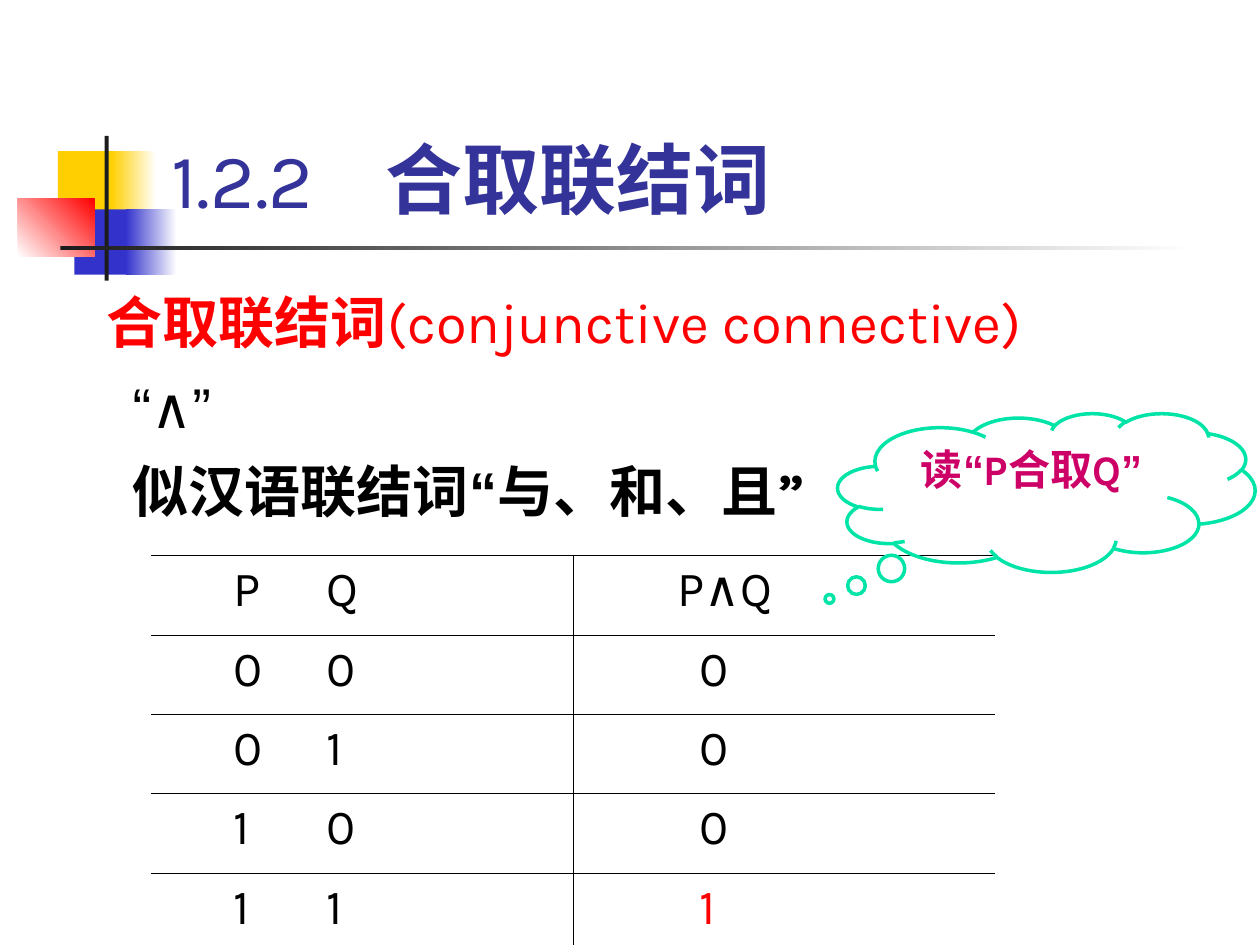
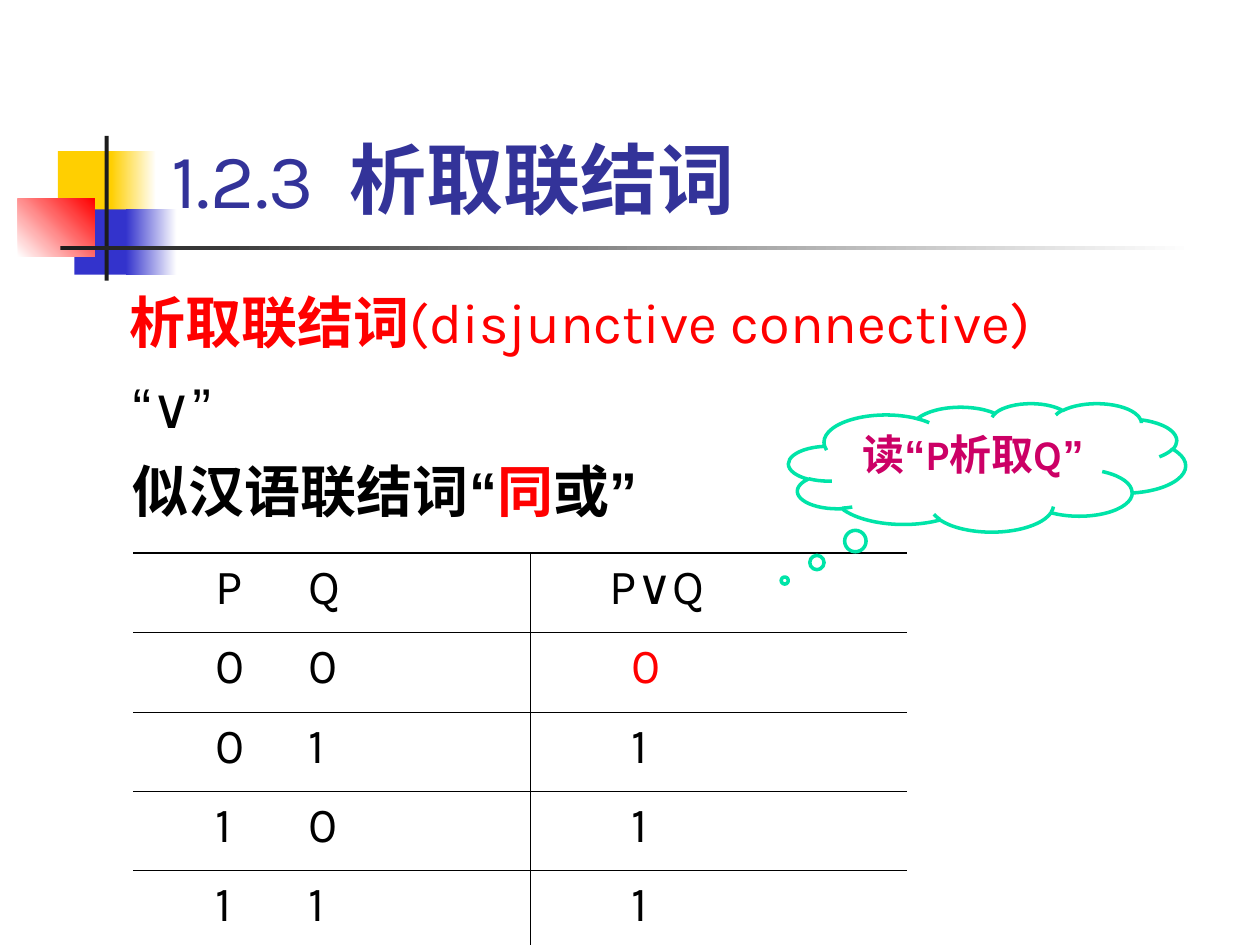
"""Build two slides on the conjunction and disjunction connectives."""
import lxml.etree
import pptx
import pptx.dml.color
import pptx.enum.shapes
import pptx.enum.text
import pptx.oxml.ns
import pptx.util

Cm = pptx.util.Cm
Pt = pptx.util.Pt
qn = pptx.oxml.ns.qn

FONT = "Karla"
QUOTE_FONT = "Arial"
NAVY = "333399"
BLUE = "3333CC"
YELLOW = "FFCF01"
RED = "FF0000"
WHITE = "FFFFFF"
BLACK = "000000"
DARK = "1C1C1C"
GREEN = "00E4A8"
MAGENTA = "CC0066"

DECORATION = [
    ((1.17, 3.05, 1.22, 1.32), [YELLOW], 0),
    ((2.24, 3.05, 0.91, 1.32), [YELLOW, WHITE], 0),
    ((1.5, 4.22, 1.17, 1.32), [BLUE], 0),
    ((2.54, 4.22, 1.02, 1.32), [BLUE, WHITE], 0),
    ((0.36, 4.01, 1.55, 1.17), [WHITE, RED], 45),
    ((2.11, 2.74, 0.08, 2.92), [DARK], 0),
    ((1.22, 4.95, 22.86, 0.09), [DARK, WHITE], 0),
]
INPUTS = [("P", "Q"), ("0", "0"), ("0", "1"), ("1", "0"), ("1", "1")]


def rgb(value):
    """Turn a hex string into a colour."""
    return pptx.dml.color.RGBColor.from_string(value)


def add_run(p, text, size=32, color=BLACK, bold=False, font=FONT):
    """Add a formatted run to a paragraph."""
    r = p.add_run()
    r.text = text
    r.font.size = Pt(size)
    r.font.bold = bold
    r.font.name = font
    r.font.color.rgb = rgb(color)
    ea = lxml.etree.Element(qn("a:ea"), typeface=font)
    r.font._element.find(qn("a:latin")).addnext(ea)


def add_tab(p, position):
    """Give a paragraph one left tab stop."""
    tabs = lxml.etree.SubElement(p._p.get_or_add_pPr(), qn("a:tabLst"))
    lxml.etree.SubElement(tabs, qn("a:tab"), pos=str(Cm(position)), algn="l")


def place(shape, left, top, width, height):
    """Set the position and size of a shape in centimetres."""
    shape.left, shape.top = Cm(left), Cm(top)
    shape.width, shape.height = Cm(width), Cm(height)


def add_decoration(s):
    """Put the coloured blocks and bars on the layout of a slide."""
    for i, (box, colors, angle) in enumerate(DECORATION):
        sp = s.shapes.add_shape(pptx.enum.shapes.MSO_SHAPE.RECTANGLE, *map(Cm, box))
        sp.shadow.inherit = False
        sp.line.fill.background()
        if len(colors) == 1:
            sp.fill.solid()
            sp.fill.fore_color.rgb = rgb(colors[0])
        else:
            sp.fill.gradient()
            sp.fill.gradient_angle = angle
            for stop, color in zip(sp.fill.gradient_stops, colors):
                stop.color.rgb = rgb(color)
        s.slide_layout.shapes.element.insert(2 + i, sp._element)


def add_title(s, number, name, tab):
    """Fill the title with a section number and its name."""
    title = s.shapes.title
    place(title, 3.2, 0.58, 21.64, 4.06)
    tf = title.text_frame
    tf.auto_size = pptx.enum.text.MSO_AUTO_SIZE.NONE
    tf.vertical_anchor = pptx.enum.text.MSO_ANCHOR.BOTTOM
    p = tf.paragraphs[0]
    p.alignment = pptx.enum.text.PP_ALIGN.LEFT
    add_tab(p, tab)
    add_run(p, number + "\t", size=44, color=NAVY)
    add_run(p, name, size=44, color=NAVY, bold=True)


def add_body(s, name, english, symbol, meaning, indent):
    """Fill the body with the term, its symbol and its everyday meaning."""
    body = s.placeholders[1]
    place(body, 1.7, 5.61, 23.2, 13.44)
    tf = body.text_frame
    tf.auto_size = pptx.enum.text.MSO_AUTO_SIZE.NONE
    quote = {"font": QUOTE_FONT}
    lines = [
        (indent, [(name, {"color": RED, "bold": True}), (english, {"color": RED})]),
        (0.72, [("“", quote), (symbol, {}), ("”", quote)]),
        (0.72, [("似汉语联结词", {"bold": True}),
                ("“", {"bold": True, "font": QUOTE_FONT})] + meaning),
    ]
    for i, (left, runs) in enumerate(lines):
        p = tf.add_paragraph() if i else tf.paragraphs[0]
        p.line_spacing = 1.05
        p.space_before = Pt(8)
        pPr = p._p.get_or_add_pPr()
        pPr.set("marL", str(Cm(left)))
        pPr.set("indent", "0")
        lxml.etree.SubElement(pPr, qn("a:buNone"))
        for text, style in runs:
            add_run(p, text, **style)


def set_borders(cell, **widths):
    """Draw the given cell sides in black and hide the others."""
    tcPr = cell._tc.get_or_add_tcPr()
    for i, side in enumerate("LRTB"):
        width = widths.get(side, 0)
        ln = lxml.etree.Element(qn("a:ln" + side), w=str(Pt(width)))
        if width:
            fill = lxml.etree.SubElement(ln, qn("a:solidFill"))
            lxml.etree.SubElement(fill, qn("a:srgbClr"), val=BLACK)
        else:
            lxml.etree.SubElement(ln, qn("a:noFill"))
        tcPr.insert(i, ln)


def add_truth_table(s, left, top, columns, formula, results, margin, special):
    """Add a truth table whose special result is red."""
    rows = len(INPUTS)
    frame = s.shapes.add_table(rows, 2, Cm(left), Cm(top), Cm(sum(columns)), Cm(1.6 * rows))
    table = frame.table
    table.first_row = table.horz_banding = False
    for column, width in zip(table.columns, columns):
        column.width = Cm(width)
    for i, (inputs, result) in enumerate(zip(INPUTS, [formula] + results)):
        lines = {"T": 0.45 if i else 1.08, "B": 0.45 if i < rows - 1 else 1.08}
        margins = (1.65, margin + 0.45 if i else margin)
        for j, text in enumerate(("\t".join(inputs), result)):
            cell = table.cell(i, j)
            cell.margin_left = Cm(margins[j])
            cell.fill.background()
            set_borders(cell, **lines, **{"L" if j else "R": 0.45})
            p = cell.text_frame.paragraphs[0]
            p.space_before = Pt(7)
            if j == 0:
                add_tab(p, 1.88)
            add_run(p, text, size=28, color=RED if j and text == special else BLACK)


def add_cloud(s, box, tail, reading):
    """Add a thought cloud that tells how to read the formula."""
    sp = s.shapes.add_shape(pptx.enum.shapes.MSO_SHAPE.CLOUD_CALLOUT, *map(Cm, box))
    sp.adjustments[0], sp.adjustments[1] = tail
    sp.shadow.inherit = False
    sp.fill.background()
    sp.line.color.rgb = rgb(GREEN)
    sp.line.width = Pt(2)
    tf = sp.text_frame
    tf.word_wrap = True
    tf.vertical_anchor = pptx.enum.text.MSO_ANCHOR.TOP
    p = tf.paragraphs[0]
    p.alignment = pptx.enum.text.PP_ALIGN.CENTER
    for text, font in (("读", FONT), ("“", QUOTE_FONT), (reading, FONT), ("”", QUOTE_FONT)):
        add_run(p, text, size=24, color=MAGENTA, bold=True, font=font)


def main():
    """Build and save the presentation."""
    prs = pptx.Presentation()
    prs.slide_width, prs.slide_height = Cm(25.4), Cm(19.05)
    layout = prs.slide_layouts[1]

    s = prs.slides.add_slide(layout)
    add_decoration(s)
    add_title(s, "1.2.2", "合取联结词", 4.32)
    add_body(s, "合取联结词", "(conjunctive connective)", "∧",
             [("与、和、且”", {"bold": True})], 0.2)
    add_truth_table(s, 3.05, 11.2, (8.5, 8.5), "P∧Q", ["0", "0", "0", "1"], 2.1, "1")
    add_cloud(s, (16.89, 8.33, 8.41, 3.2), (-0.52, 0.67), "P合取Q")

    s = prs.slides.add_slide(layout)
    add_title(s, "1.2.3", "析取联结词", 3.6)
    add_body(s, "析取联结词", "(disjunctive connective)", "∨",
             [("同", {"bold": True, "color": RED}), ("或", {"bold": True}),
              ("”", {"bold": True, "font": QUOTE_FONT})], 0.65)
    add_truth_table(s, 2.69, 11.15, (8, 7.6), "P∨Q", ["0", "1", "1", "1"], 1.6, "0")
    add_cloud(s, (15.9, 8.13, 8, 2.59), (-0.51, 0.88), "P析取Q")

    prs.save("out.pptx")


if __name__ == "__main__":
    main()
